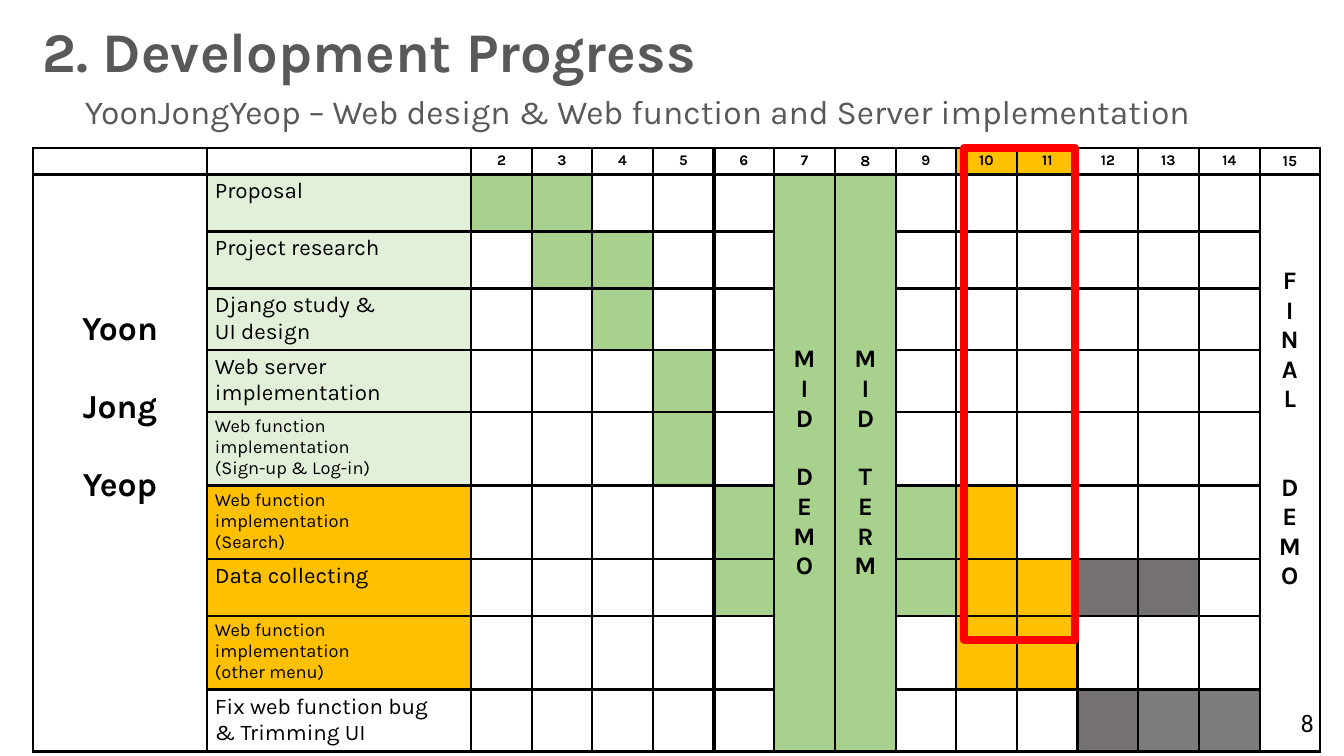
"""Build the development progress slide with its weekly task chart."""
from lxml.etree import SubElement
from pptx import Presentation
from pptx.dml.color import RGBColor
from pptx.enum.shapes import MSO_SHAPE
from pptx.enum.text import MSO_ANCHOR, PP_ALIGN
from pptx.oxml.ns import qn
from pptx.util import Pt

PX = 914400 / 100.8
BLACK = RGBColor(0, 0, 0)
GRAY = RGBColor(0x59, 0x59, 0x59)
RED = RGBColor(0xFF, 0, 0)
WHITE = RGBColor(0xFF, 0xFF, 0xFF)
PALE = RGBColor(0xE2, 0xF0, 0xD9)
GREEN = RGBColor(0xA9, 0xD1, 0x8E)
AMBER = RGBColor(0xFF, 0xC0, 0)
DARK = RGBColor(0x76, 0x71, 0x71)
SMOKE = RGBColor(0x7C, 0x7C, 0x7C)
FILLS = {".": WHITE, "G": GREEN, "A": AMBER, "D": DARK, "S": SMOKE}

TASKS = [
    ("Proposal", 16, PALE, "GG...GG......."),
    ("Project research", 16, PALE, ".GG..GG......."),
    ("Django study &\nUI design", 16, PALE, "..G..GG......."),
    ("Web server implementation", 16, PALE, "...G.GG......."),
    ("Web function implementation\n(Sign-up & Log-in)", 13, PALE, "...G.GG......."),
    ("Web function implementation\n(Search)", 13, AMBER, "....GGGGA....."),
    ("Data collecting", 16, AMBER, "....GGGGAADD.."),
    ("Web function implementation\n(other menu)", 13, AMBER, ".....GG.AA...."),
    ("Fix web function bug\n& Trimming UI", 16, WHITE, ".....GG...DSS."),
]
HEIGHTS = [25, 57, 57, 61, 61, 57, 57, 57, 57, 61]
WEEKS = range(2, 16)
THICK = {(5, "R"), (6, "L"), (11, "R"), (12, "L")}


def px(*sides):
    return [round(side * PX) for side in sides]


def write(frame, text, size, color=BLACK, bold=False, align=PP_ALIGN.LEFT, face="Karla"):
    frame.text = text
    for para in frame.paragraphs:
        para.alignment = align
        font = para.font
        font.name, font.size, font.bold = face, Pt(size), bold
        font.color.rgb = color


deck = Presentation()
deck.slide_width, deck.slide_height = px(1344, 756)
slide = deck.slides.add_slide(deck.slide_layouts[6])
shapes = slide.shapes

lead = shapes.add_textbox(*px(75, 86, 1269, 50)).text_frame
lead.word_wrap = True
props = lead.paragraphs[0]._p.get_or_add_pPr()
props.set("marL", str(px(38)[0]))
props.set("indent", str(px(-38)[0]))
SubElement(props, qn("a:buFont"), typeface="Arial")
SubElement(props, qn("a:buChar"), char="•")
write(lead, "YoonJongYeop – Web design & Web function and Server implementation", 24, GRAY)

table = shapes.add_table(10, 16, *px(33, 148, 1288, 550)).table
table.first_row = table.horz_banding = False
for row, height in zip(table.rows, HEIGHTS):
    row.height = px(height)[0]
for col, column in enumerate(table.columns):
    width = (174, 264)[col] if col < 2 else 61 if col % 3 else 60
    column.width = px(width)[0]

for row in range(10):
    for col in range(16):
        cell = table.cell(row, col)
        cell.margin_left, cell.margin_top, cell.margin_right, cell.margin_bottom = px(8, 4, 8, 4)
        for side in "LRTB":
            width = Pt(2.55 if (col, side) in THICK else 1.98)
            line = SubElement(cell._tc.get_or_add_tcPr(), qn("a:ln" + side), w=str(width))
            SubElement(SubElement(line, qn("a:solidFill")), qn("a:srgbClr"), val=str(BLACK))
        cell.fill.solid()
        cell.fill.fore_color.rgb = WHITE
        write(cell.text_frame, "", 10)

for col, week in enumerate(WEEKS, 2):
    cell = table.cell(0, col)
    size = 11 if week in (8, 15) else 10.5
    write(cell.text_frame, str(week), size, bold=True, align=PP_ALIGN.CENTER)
    if week in (10, 11):
        cell.fill.fore_color.rgb = AMBER

for row, (task, size, color, bars) in enumerate(TASKS, 1):
    cell = table.cell(row, 1)
    write(cell.text_frame, task, size)
    cell.fill.fore_color.rgb = color
    for col, mark in enumerate(bars, 2):
        table.cell(row, col).fill.fore_color.rgb = FILLS[mark]

for col, words, size, top, gaps in [
    (0, ["Yoon", "Jong", "Yeop"], 24, 135, {1: 28, 2: 28}),
    (7, "MIDDEMO", 18, 0, {3: 21}),
    (8, "MIDTERM", 18, 0, {3: 21}),
    (15, "FINALDEMO", 18, 92, {5: 42}),
]:
    cell = table.cell(1, col)
    cell.merge(table.cell(9, col))
    write(cell.text_frame, "\n".join(words), size, bold=True, align=PP_ALIGN.CENTER)
    for place, gap in gaps.items():
        cell.text_frame.paragraphs[place].space_before = Pt(gap)
    if top:
        cell.margin_top = px(top)[0]
    else:
        cell.vertical_anchor = MSO_ANCHOR.MIDDLE

page = shapes.add_textbox(*px(1291, 702, 33, 40)).text_frame
page.word_wrap = False
write(page, "8", 18, face="Calibri")

title = shapes.add_textbox(*px(33, 12, 758, 78)).text_frame
title.word_wrap = True
write(title, "2. Development Progress", 40, GRAY, bold=True)

frame = shapes.add_shape(MSO_SHAPE.RECTANGLE, *px(964, 148, 111, 492))
frame.shadow.inherit = False
frame.fill.background()
frame.line.color.rgb = RED
frame.line.width = Pt(6)

deck.save("out.pptx")
